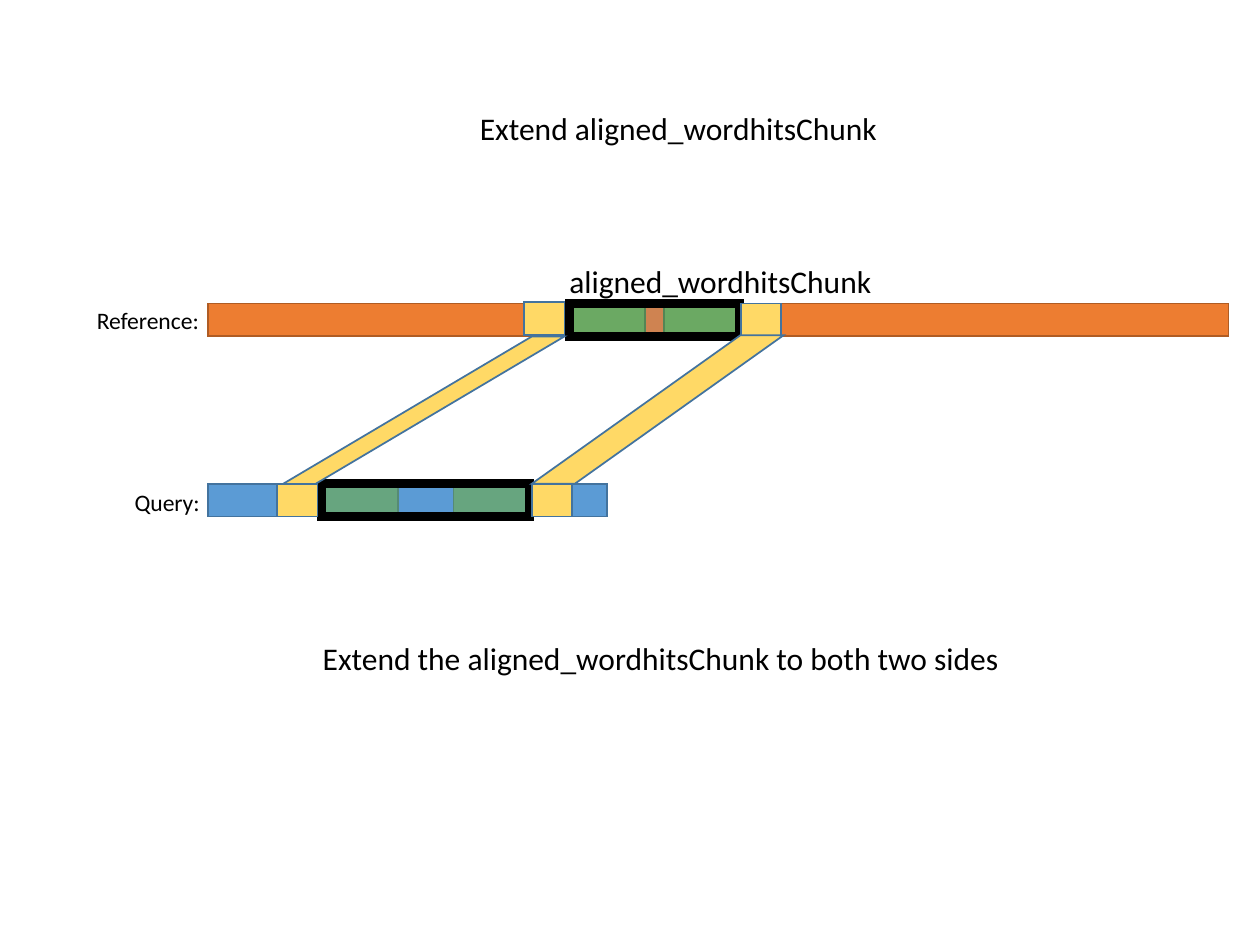
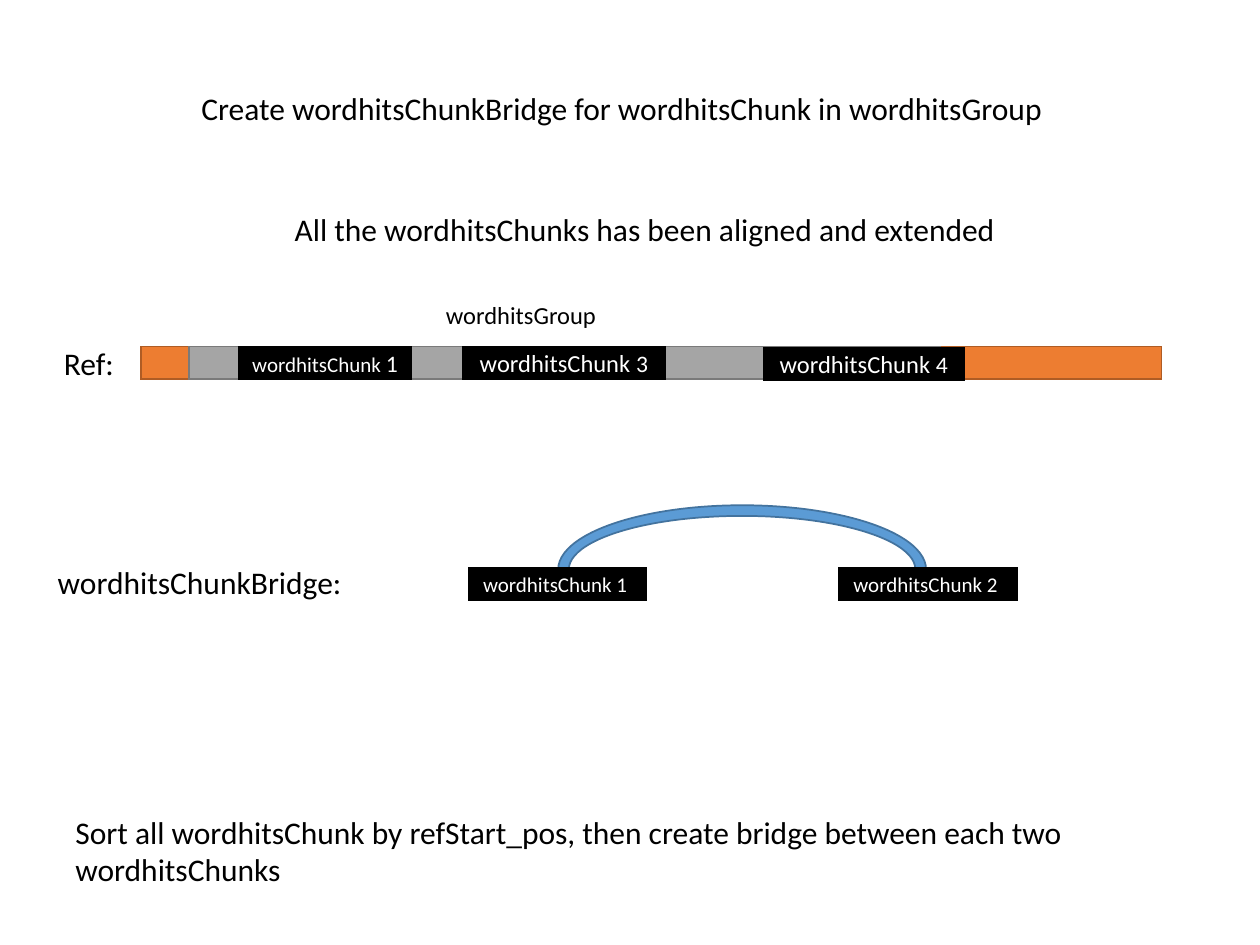
from dataclasses import dataclass

from lxml import etree
from pptx import Presentation
from pptx.dml.color import RGBColor
from pptx.enum.shapes import MSO_SHAPE
from pptx.enum.text import MSO_ANCHOR, MSO_AUTO_SIZE, PP_ALIGN
from pptx.oxml.ns import qn
from pptx.util import Inches, Pt

RECT = MSO_SHAPE.RECTANGLE
SLANT = MSO_SHAPE.PARALLELOGRAM
ARC = MSO_SHAPE.BLOCK_ARC
LEFT, CENTER = PP_ALIGN.LEFT, PP_ALIGN.CENTER
MIDDLE = MSO_ANCHOR.MIDDLE
FIT = MSO_AUTO_SIZE.SHAPE_TO_FIT_TEXT

COLS, ROWS = 100, 75      # slide grid
CELL = Inches(0.1)


@dataclass(frozen=True)
class Theme:
    """Colours as (fill, line) pairs, and type sizes in points."""
    font: str = "Calibri"
    ink: str = "000000"
    paper: str = "FFFFFF"
    reference: tuple = ("ED7D31", "AF5C24")
    query: tuple = ("5B9BD5", "43739E")
    hit: tuple = ("70AD47", "538035")
    extension: tuple = ("FFD966", "43739E")
    group: tuple = ("A5A5A5", "7A7A7A")
    chunk: tuple = ("000000", "000000")
    frame: tuple = ("5B9BD5", "000000")
    title: float = 18
    caption: float = 14
    label: float = 13.5
    small: float = 12
    thin: float = 1
    thick: float = 5


T = Theme()


@dataclass(frozen=True)
class Box:
    """A region in grid columns and rows."""
    x: float
    y: float
    w: float
    h: float

    def inner(self, x, y, w, h):
        """Return a box placed relative to this one."""
        return Box(self.x + x, self.y + y, w, h)

    def span(self, x, w):
        """Return a full-height piece of this box."""
        return self.inner(x, 0, w, self.h)

    def emu(self):
        """Return left, top, width and height in slide units."""
        return [round(v * CELL) for v in (self.x, self.y, self.w, self.h)]


def write(p, runs, color, align=LEFT):
    """Fill a paragraph with (text, size) runs."""
    p.alignment = align
    for text, size in runs:
        r = p.add_run()
        r.text = text
        r.font.name, r.font.size = T.font, Pt(size)
        r.font.color.rgb = RGBColor.from_string(color)


def note(s, box, text, size=T.title, wrap=False, align=LEFT):
    """Add a plain text box."""
    tf = s.shapes.add_textbox(*box.emu()).text_frame
    tf.word_wrap, tf.auto_size = wrap, FIT
    write(tf.paragraphs[0], [(text, size)], T.ink, align)


def block(s, box, colors, kind=RECT, adj=(), weight=T.thin, opacity=None):
    """Add a filled, outlined shape with sharp corners."""
    sp = s.shapes.add_shape(kind, *box.emu())
    sp.shadow.inherit = False
    for i, value in enumerate(adj):
        sp.adjustments[i] = value
    fill, line = colors
    sp.fill.solid()
    sp.fill.fore_color.rgb = RGBColor.from_string(fill)
    sp.line.color.rgb = RGBColor.from_string(line)
    sp.line.width = Pt(weight)
    pr = sp._element.spPr
    etree.SubElement(pr.find(qn("a:ln")), qn("a:miter"), lim="800000")
    if opacity is not None:
        etree.SubElement(pr.find(qn("a:solidFill"))[0], qn("a:alpha"),
                         val=str(opacity * 1000))
    return sp


def chunk(s, box, *runs):
    """Add a black chunk with a white label."""
    tf = block(s, box, T.chunk).text_frame
    tf.vertical_anchor = MIDDLE
    write(tf.paragraphs[0], runs, T.paper, CENTER)


def aligned_track(s, box, colors, hits, frame, opacity):
    """Draw a sequence bar with its word hits and the frame around them."""
    block(s, box, colors)
    for x in hits:
        block(s, box.span(x, 6), T.hit)
    block(s, box.span(*frame), T.frame, weight=T.thick, opacity=opacity)


def alignment(s, box):
    """Draw reference over query, joined by the extended ends."""
    ref = box.inner(9.8, 3.8, 81, 2.6)
    query = box.inner(9.8, 18.1, 31.7, 2.6)
    aligned_track(s, ref, T.reference, (28.7, 36.2), (28.7, 13.5), 20)
    aligned_track(s, query, T.query, (9.1, 19.5), (9, 16.5), 40)
    note(s, box.inner(0, 3.5, 10.3, 3.3), "Reference:", T.label)
    note(s, box.inner(3, 17.9, 7.3, 3.3), "Query:", T.label)
    block(s, query.inner(5.8, -11.7, 22.5, 11.8), T.extension, SLANT, [1.688])
    for track, x, dy in ((ref, 25.1, -0.1), (query, 5.5, 0),
                         (ref, 42.3, 0), (query, 25.7, 0)):
        block(s, track.inner(x, dy, 3.2, 2.6), T.extension)
    block(s, query.inner(25.7, -11.8, 20, 11.8), T.extension, SLANT, [1.405])
    note(s, box.inner(37.5, 0, 26.3, 4), "aligned_wordhitsChunk")


def group_track(s, box):
    """Draw the reference bar with its group of chunks."""
    bar = box.inner(7.1, 4.2, 81, 2.6)
    block(s, bar, T.reference)
    block(s, bar.span(3.8, 59.6), T.group)
    note(s, box.inner(30.3, 0, 14.1, 3.4), "wordhitsGroup", T.caption)
    for number, x, dy, w, size in (("1", 7.8, 0, 13.6, T.small),
                                   ("3", 25.5, 0, 16.1, T.caption),
                                   ("4", 49.4, 0.1, 15.9, T.caption)):
        chunk(s, bar.inner(x, dy, w, 2.6),
              ("wordhitsChunk ", size), (number, T.label))
    note(s, box.inner(0, 3.5, 6, 4), "Ref:")


def bridge(s, box):
    """Draw two chunks joined by an arc."""
    block(s, box.inner(40.7, 0, 29.2, 10.2), T.query, ARC, [108, 0, 0.083])
    note(s, box.inner(0, 4.1, 24.8, 4), "wordhitsChunkBridge:")
    for i in range(2):
        chunk(s, box.inner(33.6 + 29.4 * i, 5, 14.1, 2.5),
              (f"wordhitsChunk {i + 1} ", T.small))


def extend_slide(s, page):
    """Build the slide on extending a chunk."""
    note(s, page.inner(37.1, 8.2, 33.9, 4), "Extend aligned_wordhitsChunk")
    alignment(s, page.inner(6.7, 20.3, 90.8, 20.7))
    note(s, page.inner(20.6, 50.2, 63.7, 4),
         "Extend the aligned_wordhitsChunk to both two sides",
         wrap=True, align=CENTER)


def bridge_slide(s, page):
    """Build the slide on bridging chunks."""
    note(s, page.inner(15, 6.6, 69.5, 4),
         "Create wordhitsChunkBridge for wordhitsChunk in wordhitsGroup")
    note(s, page.inner(22.4, 16.2, 58.3, 4),
         "All the wordhitsChunks has been aligned and extended")
    group_track(s, page.inner(4.1, 23.3, 88.1, 7.5))
    bridge(s, page.inner(3.6, 40.1, 77.1, 10.2))
    note(s, page.inner(5, 64, 95, 7.1),
         "Sort all wordhitsChunk by refStart_pos, then create bridge "
         "between each two wordhitsChunks", wrap=True)


prs = Presentation()
prs.slide_width, prs.slide_height = COLS * CELL, ROWS * CELL
blank = prs.slide_layouts[6]
for build in (extend_slide, bridge_slide):
    build(prs.slides.add_slide(blank), Box(0, 0, COLS, ROWS))
prs.save("out.pptx")
